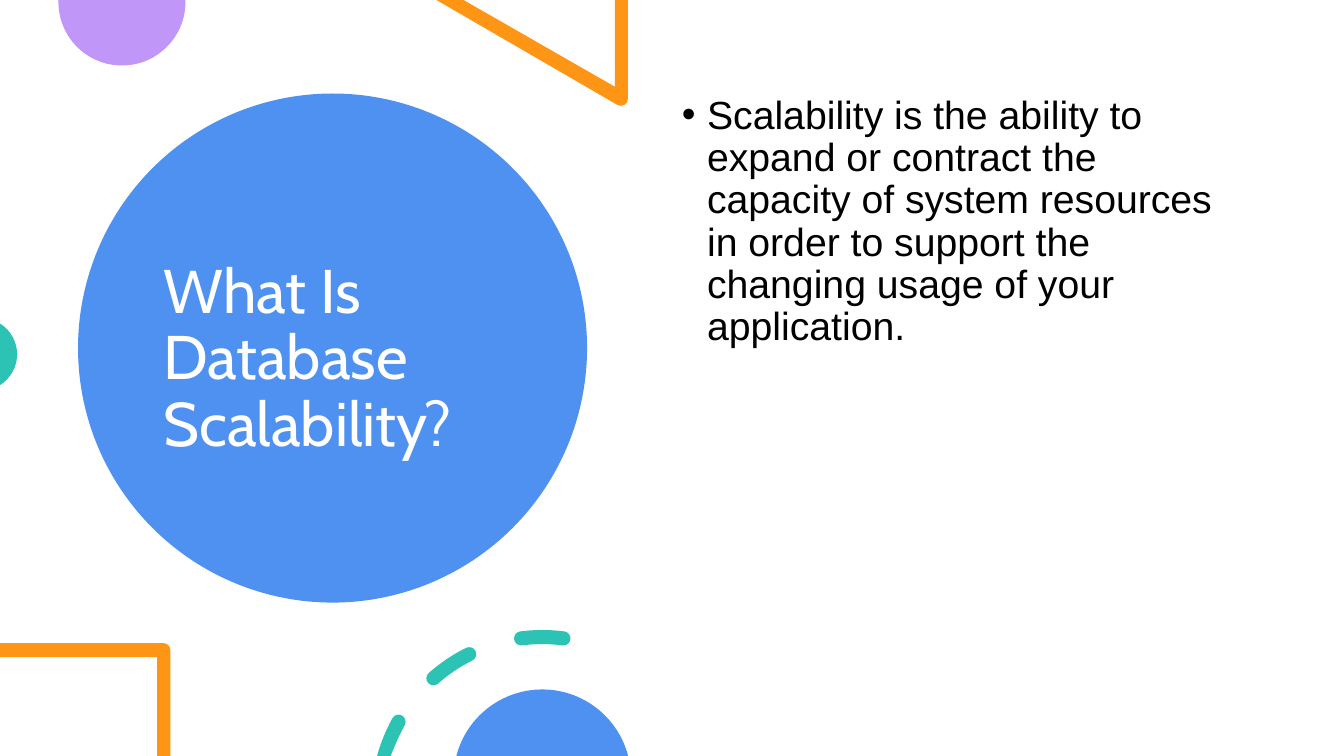
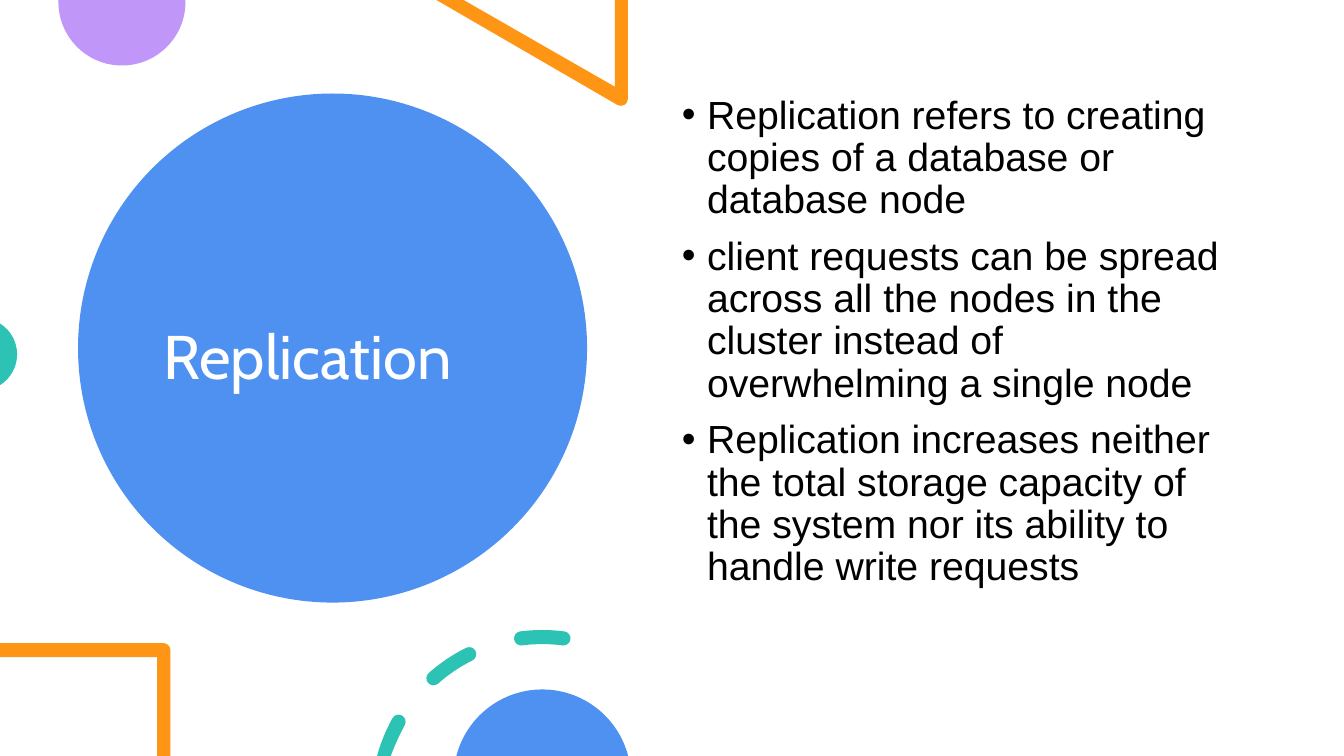
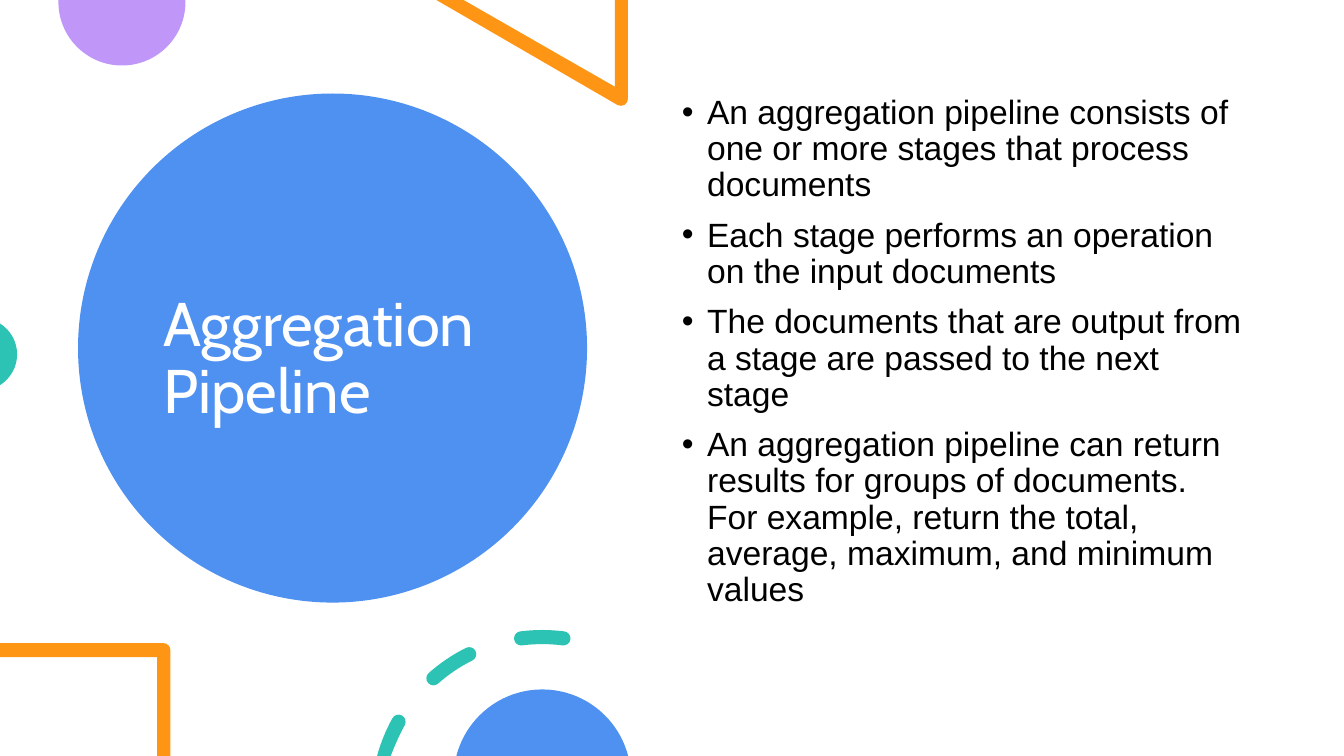
from math import cos, radians, sin, tan

from lxml.etree import SubElement
from pptx import Presentation
from pptx.dml.color import RGBColor as Color
from pptx.enum.shapes import MSO_SHAPE as Shape
from pptx.enum.text import MSO_ANCHOR as Anchor
from pptx.oxml.ns import qn
from pptx.util import Inches, Pt

ROWS = 75
COLUMNS = ROWS * 16 / 9
CELL = Inches(7.5) / ROWS
COLORS = {
    "blue": "4E91F0",
    "teal": "2CC3B4",
    "purple": "C097F8",
    "orange": "FF9514",
    "white": "FFFFFF",
    "black": "000000",
}
TITLE = {"name": "Cabin", "size": Pt(44), "color": "white"}
BODY = {"name": "Arial", "color": "black"}
BULLET_FORMAT = {"line_spacing": 0.9, "space_before": Pt(10)}
TITLE_FORMAT = {"line_spacing": 0.9}
TITLE_AREA = (15.22, 13.46, 35.4, 44.5)
BODY_AREA = (COLUMNS / 2, 8.97, 57.5, 53.5)
MAIN_CIRCLE = (7.74, 9.28, 50.5, 50.5)

SLIDES = [
    ("What Is Database Scalability?", 28, [
        "Scalability is the ability to expand or contract the capacity of system "
        "resources in order to support the changing usage of your application.",
    ]),
    ("Replication", 28, [
        "Replication refers to creating copies of a database or database node",
        "client requests can be spread across all the nodes in the cluster instead "
        "of overwhelming a single node",
        "Replication increases neither the total storage capacity of the system nor "
        "its ability to handle write requests",
    ]),
    ("Aggregation Pipeline", 24, [
        "An aggregation pipeline consists of one or more stages that process documents",
        "Each stage performs an operation on the input documents",
        "The documents that are output from a stage are passed to the next stage",
        "An aggregation pipeline can return results for groups of documents. For "
        "example, return the total, average, maximum, and minimum values",
    ]),
]


def cells(*lengths):
    """Turn grid lengths into slide units."""
    return [round(length * CELL) for length in lengths]


def corners(*points):
    """Make straight steps of an outline."""
    return [(point,) for point in points]


def arc(center, radius, start, stop, parts=2):
    """Make a start step and curve steps, in degrees clockwise from the top."""
    turn = radians(stop - start) / parts
    reach = 4 / 3 * tan(turn / 4)

    def spot(angle, pull=0):
        """Find a point on the arc, moved along its tangent."""
        return (center[0] + radius * (sin(angle) + pull * cos(angle)),
                center[1] - radius * (cos(angle) - pull * sin(angle)))

    angles = [radians(start) + turn * part for part in range(parts + 1)]
    curves = [(spot(a, reach), spot(b, -reach), spot(b)) for a, b in zip(angles, angles[1:])]
    return corners(spot(angles[0])) + curves


def dash(center, radius, half, start, stop, rounded_start=True):
    """Outline a piece of a ring with rounded ends."""
    first, last = (arc(center, radius, a, a, 1)[0][0] for a in (start, stop))
    inner = arc(center, radius - half, stop, start, 1)
    outline = arc(center, radius + half, start, stop, 1)
    outline += arc(last, half, stop, stop + 180)[1:] + inner[1:]
    if rounded_start:
        outline += arc(first, half, start + 180, start + 360)[1:]
    return outline


def paint(shape, color):
    """Give a shape a flat fill without line or shadow."""
    shape.fill.solid()
    shape.fill.fore_color.rgb = Color.from_string(COLORS[color])
    shape.line.fill.background()
    shape.shadow.inherit = False


def bend(shape, steps):
    """Join each three-point step of a freeform into one curve."""
    route = next(shape._element.iter(qn("a:path")))
    lines = iter(list(route.iter(qn("a:lnTo"))))
    for step in steps:
        group = [next(lines) for _ in step]
        if len(group) == 3:
            curve = route.makeelement(qn("a:cubicBezTo"))
            group[0].addprevious(curve)
            for line in group:
                curve.append(line[0])
                route.remove(line)


def add_outline(page, color, *contours):
    """Draw closed contours, kept within the slide, as one shape."""
    builder = None
    for contour in contours:
        points = [cells(min(max(x, 0), COLUMNS), min(max(y, 0), ROWS))
                  for step in contour for x, y in step]
        if builder is None:
            builder = page.shapes.build_freeform(*points[0], scale=1.0)
        else:
            builder.move_to(*points[0])
        builder.add_line_segments(points[1:], close=True)
    shape = builder.convert_to_shape()
    bend(shape, [step for contour in contours for step in contour[1:]])
    paint(shape, color)


def add_backdrop(page):
    """Draw the white panel and the title circle."""
    for kind, area, color in ((Shape.RECTANGLE, (0, 0, COLUMNS, ROWS), "white"),
                              (Shape.OVAL, MAIN_CIRCLE, "blue")):
        paint(page.shapes.add_shape(kind, *cells(*area)), color)


def add_upper_decoration(page):
    """Draw the purple circle, orange triangle and teal circle."""
    add_outline(page, "purple", arc((12.1, 0.2), 6.3, 88.2, 271.8))
    add_outline(page, "orange", corners((62.3, 0), (61, 0), (61, 8.6), (46, 0), (43.3, 0))
                + arc((61.6, 9.8), 0.7, 210, 90))
    add_outline(page, "teal", arc((-1.9, 35.15), 3.6, 32, 148))


def add_lower_decoration(page):
    """Draw the orange frame, teal dashes and blue circle."""
    add_outline(page, "orange", corners((16.9, ROWS), (15.6, ROWS), (15.6, 65.2),
                                        (0, 65.2), (0, 63.8))
                + arc((16.2, 64.5), 0.7, 0, 90, 1))
    spans = [(-74.6, -61, False), (-41.5, -26.4), (-7.4, 7.4)]
    add_outline(page, "teal", *(dash((53.8, 79.5), 16.3, 0.7, *span) for span in spans))
    add_outline(page, "blue", arc((53.8, 77.2), 8.8, -75.5, 75.5))


def add_bullet(para):
    """Put a hanging bullet before a paragraph."""
    properties = para._p.get_or_add_pPr()
    properties.set("marL", str(Inches(0.25)))
    properties.set("indent", str(-Inches(0.25)))
    SubElement(properties, qn("a:buFont")).set("typeface", "Arial")
    SubElement(properties, qn("a:buChar")).set("char", "•")


def add_text(page, area, lines, font, layout, anchor=Anchor.TOP, bullets=False):
    """Add a wrapped text box with one paragraph per line."""
    frame = page.shapes.add_textbox(*cells(*area)).text_frame
    frame.word_wrap = True
    frame.vertical_anchor = anchor
    for index, line in enumerate(lines):
        para = frame.add_paragraph() if index else frame.paragraphs[0]
        for name, value in layout.items():
            setattr(para, name, value)
        if bullets:
            add_bullet(para)
        span = para.add_run()
        span.text = line
        for name, value in font.items():
            if name == "color":
                span.font.color.rgb = Color.from_string(COLORS[value])
            else:
                setattr(span.font, name, value)


def main():
    """Build and save the deck."""
    deck = Presentation()
    deck.slide_width, deck.slide_height = cells(COLUMNS, ROWS)
    for title, size, bullets in SLIDES:
        page = deck.slides.add_slide(deck.slide_layouts[6])
        add_backdrop(page)
        add_text(page, TITLE_AREA, [title], TITLE, TITLE_FORMAT, Anchor.MIDDLE)
        add_upper_decoration(page)
        add_text(page, BODY_AREA, bullets, {**BODY, "size": Pt(size)}, BULLET_FORMAT, bullets=True)
        add_lower_decoration(page)
    deck.save("out.pptx")


if __name__ == "__main__":
    main()
